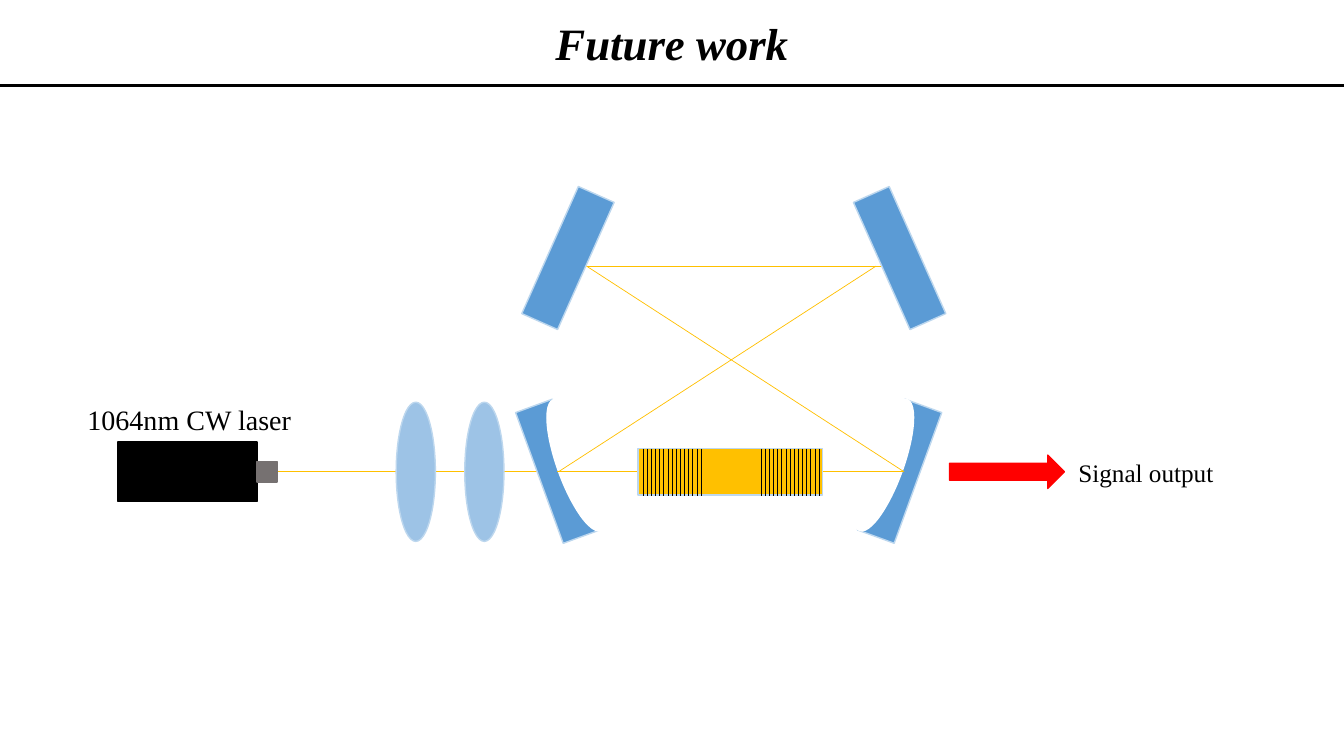
from dataclasses import dataclass

from lxml.etree import SubElement
from pptx import Presentation
from pptx.dml.color import RGBColor
from pptx.enum.shapes import MSO_CONNECTOR, MSO_SHAPE
from pptx.enum.text import MSO_ANCHOR, MSO_AUTO_SIZE, PP_ALIGN
from pptx.oxml.ns import qn
from pptx.slide import Slide
from pptx.text.text import TextFrame
from pptx.util import Pt

BLACK = RGBColor(0x00, 0x00, 0x00)
WHITE = RGBColor(0xFF, 0xFF, 0xFF)
GREY = RGBColor(0x76, 0x71, 0x71)
MIRROR_BLUE = RGBColor(0x5B, 0x9B, 0xD5)
LENS_BLUE = RGBColor(0x9D, 0xC3, 0xE6)
EDGE_BLUE = RGBColor(0xBD, 0xD7, 0xEE)
GOLD = RGBColor(0xFF, 0xC0, 0x00)
RED = RGBColor(0xFF, 0x00, 0x00)

SLIDE_WIDTH, SLIDE_HEIGHT = 960, 540
AXIS_Y = 337
FLAT_MIRROR_Y = 184.3
UPPER_BEAM_Y = 190.1
OPTIC_SIZE = (28, 99.4)
GRATING_STARTS = (459.4, 543.6)
GRATING_STRIPES = 15
GRATING_PITCH = 2.96
GRATING_TOP, GRATING_BOTTOM = 320.4, 354.2


@dataclass(frozen=True)
class Part:
    """An optical part placed by its centre, in points."""
    x: float
    y: float
    fill: RGBColor
    edge: RGBColor
    size: tuple[float, float] = OPTIC_SIZE
    rotation: float = 0
    preset: MSO_SHAPE = MSO_SHAPE.RECTANGLE


@dataclass(frozen=True)
class Ray:
    start: tuple[float, float]
    end: tuple[float, float]
    color: RGBColor = GOLD
    width: float = 0.5


@dataclass(frozen=True)
class Label:
    text: str
    left: float
    top: float
    width: float
    height: float
    size: float


def lens(x: float) -> Part:
    return Part(x, AXIS_Y, LENS_BLUE, EDGE_BLUE, preset=MSO_SHAPE.OVAL)


def curved_mirror(x: float, hollow_x: float, rotation: float) -> list[Part]:
    """A tilted bar with a white oval that hollows out its inner face."""
    return [
        Part(x, AXIS_Y - 0.4, MIRROR_BLUE, EDGE_BLUE, rotation=rotation),
        Part(hollow_x, AXIS_Y - 4.7, WHITE, WHITE, rotation=rotation,
             preset=MSO_SHAPE.OVAL),
    ]


OUTPUT_MIRROR = curved_mirror(642.6, 631.1, 20)
PUMP_BEAM = Ray((198, AXIS_Y), (388.1, AXIS_Y))
BENCH = [
    Part(133.9, AXIS_Y, BLACK, BLACK, (99.4, 42.5)),
    Part(190.8, AXIS_Y, GREY, GREY, (14.4, 14.4)),
    lens(297),
    lens(346),
    *curved_mirror(398.5, 412.2, -20),
    Part(405.7, FLAT_MIRROR_Y, MIRROR_BLUE, EDGE_BLUE, rotation=24),
    Part(642.6, FLAT_MIRROR_Y, MIRROR_BLUE, EDGE_BLUE, rotation=-24),
]
CAVITY_BEAMS = [
    Ray((398.2, AXIS_Y), (645.1, AXIS_Y)),
    Ray((419, UPPER_BEAM_Y), (629.3, UPPER_BEAM_Y)),
    Ray((419, UPPER_BEAM_Y), (645.8, AXIS_Y)),
    Ray((398.9, AXIS_Y), (625.7, UPPER_BEAM_Y)),
]
CRYSTAL = Part(521.6, AXIS_Y, GOLD, EDGE_BLUE, (131.8, 33.1))
OUTPUT_ARROW = Part(719.3, AXIS_Y, RED, RED, (82.1, 23.8),
                    preset=MSO_SHAPE.RIGHT_ARROW)
LABELS = [
    Label("Signal output", 763.2, 323.3, 112.3, 28.8, 18),
    Label("1064nm CW laser", 55.4, 283.7, 161.3, 31.7, 20),
]


def draw_part(slide: Slide, part: Part) -> None:
    width, height = part.size
    shape = slide.shapes.add_shape(
        part.preset, Pt(part.x - width / 2), Pt(part.y - height / 2),
        Pt(width), Pt(height))
    shape.rotation = part.rotation
    shape.shadow.inherit = False
    shape.fill.solid()
    shape.fill.fore_color.rgb = part.fill
    shape.line.color.rgb = part.edge
    shape.line.width = Pt(1)


def draw_ray(slide: Slide, ray: Ray) -> None:
    connector = slide.shapes.add_connector(
        MSO_CONNECTOR.STRAIGHT, *map(Pt, ray.start + ray.end))
    connector.line.color.rgb = ray.color
    connector.line.width = Pt(ray.width)
    SubElement(connector.element.spPr, qn("a:effectLst"))


def draw_gratings(slide: Slide) -> None:
    for start in GRATING_STARTS:
        for stripe in range(GRATING_STRIPES):
            x = start + stripe * GRATING_PITCH
            draw_ray(slide, Ray((x, GRATING_TOP), (x, GRATING_BOTTOM), BLACK))


def write(frame: TextFrame, text: str, size: float, emphasis: bool = False) -> None:
    frame.text = text
    font = frame.paragraphs[0].runs[0].font
    font_format = {"name": "Times New Roman", "size": Pt(size),
                   "bold": emphasis, "italic": emphasis}
    for attribute, value in font_format.items():
        setattr(font, attribute, value)
    font.color.rgb = BLACK


def draw_title(slide: Slide) -> None:
    title = slide.shapes.title
    title_box = {"left": 0, "top": 7.2, "width": SLIDE_WIDTH, "height": 46.1}
    for attribute, value in title_box.items():
        setattr(title, attribute, Pt(value))
    write(title.text_frame, "Future work", 32, emphasis=True)
    title.text_frame.vertical_anchor = MSO_ANCHOR.MIDDLE
    title.text_frame.paragraphs[0].alignment = PP_ALIGN.CENTER


def draw_label(slide: Slide, label: Label) -> None:
    box = slide.shapes.add_textbox(
        Pt(label.left), Pt(label.top), Pt(label.width), Pt(label.height))
    write(box.text_frame, label.text, label.size)
    box.text_frame.word_wrap = False
    box.text_frame.auto_size = MSO_AUTO_SIZE.SHAPE_TO_FIT_TEXT


def main() -> None:
    presentation = Presentation()
    presentation.slide_width = Pt(SLIDE_WIDTH)
    presentation.slide_height = Pt(SLIDE_HEIGHT)
    slide = presentation.slides.add_slide(
        presentation.slide_layouts.get_by_name("Title Only"))

    draw_title(slide)
    draw_ray(slide, Ray((0, 61.2), (SLIDE_WIDTH, 61.2), BLACK, 2))
    for part in OUTPUT_MIRROR:
        draw_part(slide, part)
    draw_ray(slide, PUMP_BEAM)
    for part in BENCH:
        draw_part(slide, part)
    for beam in CAVITY_BEAMS:
        draw_ray(slide, beam)
    draw_part(slide, CRYSTAL)
    draw_gratings(slide)
    draw_part(slide, OUTPUT_ARROW)
    for label in LABELS:
        draw_label(slide, label)
    presentation.save("out.pptx")


if __name__ == "__main__":
    main()
